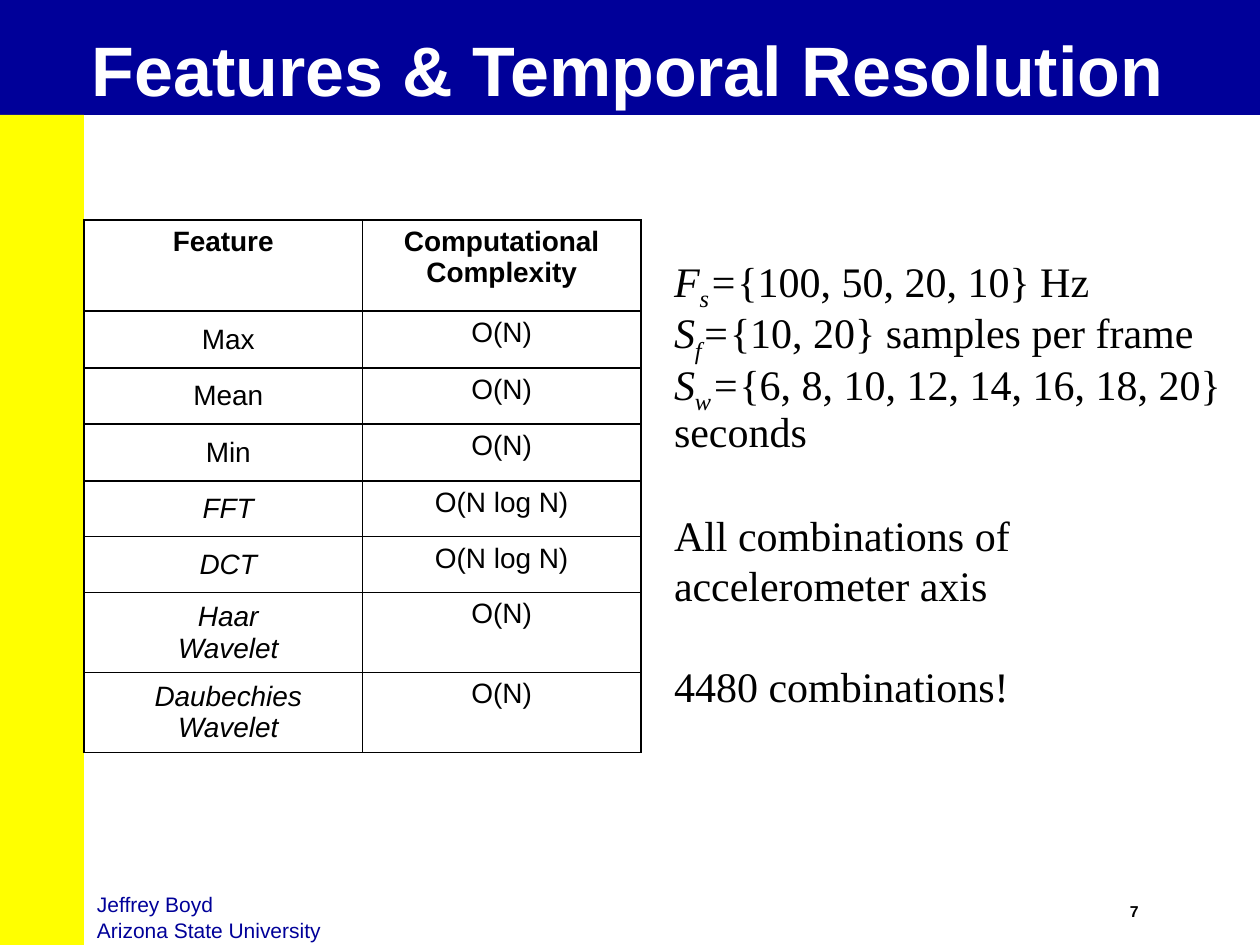
"""Build the slide on features, their complexity and temporal resolution."""
from lxml import etree
from pptx import Presentation
from pptx.dml.color import RGBColor
from pptx.enum.shapes import MSO_SHAPE
from pptx.enum.text import MSO_ANCHOR, PP_ALIGN
from pptx.oxml.ns import qn
from pptx.util import Pt

PX = 914400 / 126
RECTANGLE = MSO_SHAPE.RECTANGLE
TOP, MIDDLE, BOTTOM = MSO_ANCHOR.TOP, MSO_ANCHOR.MIDDLE, MSO_ANCHOR.BOTTOM
LEFT, CENTER = PP_ALIGN.LEFT, PP_ALIGN.CENTER
NAVY, YELLOW, WHITE, BLACK = "000099", "FFFF00", "FFFFFF", "000000"


def px(*lengths):
    return [round(length * PX) for length in lengths]


def write(frame, paragraphs, size, color=BLACK, font="Arial", bold=False, italic=False,
          align=LEFT, line=1.0, gap=0):
    for index, spans in enumerate(paragraphs):
        para = frame.paragraphs[0] if index == 0 else frame.add_paragraph()
        para.alignment = align
        para.line_spacing = line
        para.space_before = Pt(gap if index else 0)
        for text, slanted, baseline in [(spans, italic, 0)] if isinstance(spans, str) else spans:
            span = para.add_run()
            span.text = text
            span.font.name = font
            span.font.size = Pt(size)
            span.font.bold = bold
            span.font.italic = slanted
            span.font.color.rgb = RGBColor.from_string(color)
            if baseline:
                span._r.get_or_add_rPr().set("baseline", str(baseline))


deck = Presentation()
deck.slide_width, deck.slide_height = px(1260, 945)
page = deck.slides.add_slide(deck.slide_layouts[6])

for bounds, color in [((0, 0, 1260, 115), NAVY), ((0, 115, 84, 830), YELLOW)]:
    band = page.shapes.add_shape(RECTANGLE, *px(*bounds))
    band.shadow.inherit = False
    band.fill.solid()
    band.fill.fore_color.rgb = RGBColor.from_string(color)
    band.line.fill.background()

symbols = [("F", "s", "{100, 50, 20, 10} Hz"),
           ("S", "f", "{10, 20} samples per frame"),
           ("S", "w", "{6, 8, 10, 12, 14, 16, 18, 20} seconds")]
settings = [[(name, True, 0), (index, True, -25000), ("=", True, 0), (values, False, 0)]
            for name, index, values in symbols]
totals = ["All combinations of accelerometer axis", "4480 combinations!"]
serif = {"size": 24, "font": "Times New Roman"}

text_boxes = [
    ((84, 32, 1103, 82), (8, 3), BOTTOM, ["Features & Temporal Resolution"],
     {"size": 40, "color": WHITE, "bold": True, "line": 0.87}),
    ((84, 886, 451, 63), (13, 6), TOP, ["Jeffrey Boyd", "Arizona State University"],
     {"size": 12, "color": NAVY}),
    ((1122, 900, 91, 24), (8, 3), TOP, ["7"], {"size": 9, "bold": True, "line": 0.97}),
    ((661, 250, 599, 210), (13, 6), TOP, settings, {**serif, "line": 0.9}),
    ((661, 503, 599, 211), (13, 6), TOP, totals, {**serif, "gap": 29}),
]
for bounds, (side, edge), anchor, paragraphs, style in text_boxes:
    box = page.shapes.add_textbox(*px(*bounds))
    frame = box.text_frame
    frame.word_wrap = True
    frame.vertical_anchor = anchor
    frame.margin_left, frame.margin_right = px(side, side)
    frame.margin_top, frame.margin_bottom = px(edge, edge)
    write(frame, paragraphs, **style)

rows = [(["Feature"], ["Computational", "Complexity"]),
        (["Max"], ["O(N)"]),
        (["Mean"], ["O(N)"]),
        (["Min"], ["O(N)"]),
        (["FFT"], ["O(N log N)"]),
        (["DCT"], ["O(N log N)"]),
        (["Haar Wavelet"], ["O(N)"]),
        (["Daubechies Wavelet"], ["O(N)"])]
heights = px(91, 57, 56, 57, 56, 56, 80, 80)
table = page.shapes.add_table(len(rows), 2, *px(84, 220, 557, 533)).table
table.first_row = table.horz_banding = False
for column in table.columns:
    column.width = px(278.5)[0]
for row_index, row in enumerate(rows):
    table.rows[row_index].height = heights[row_index]
    for column_index, lines in enumerate(row):
        cell = table.cell(row_index, column_index)
        is_name = row_index > 0 and column_index == 0
        cell.vertical_anchor = MIDDLE if is_name else TOP
        cell.margin_left, cell.margin_right = px(60, 50) if is_name else px(13, 13)
        cell.margin_top, cell.margin_bottom = px(6, 6)
        for side in ("a:lnL", "a:lnR", "a:lnT", "a:lnB"):
            border = etree.SubElement(cell._tc.get_or_add_tcPr(), qn(side), w=str(Pt(0.75)))
            paint = etree.SubElement(border, qn("a:solidFill"))
            etree.SubElement(paint, qn("a:srgbClr"), val=BLACK)
        cell.fill.background()
        write(cell.text_frame, lines, 16, align=CENTER, bold=row_index == 0,
              italic=is_name and row_index > 3)

deck.save("out.pptx")
